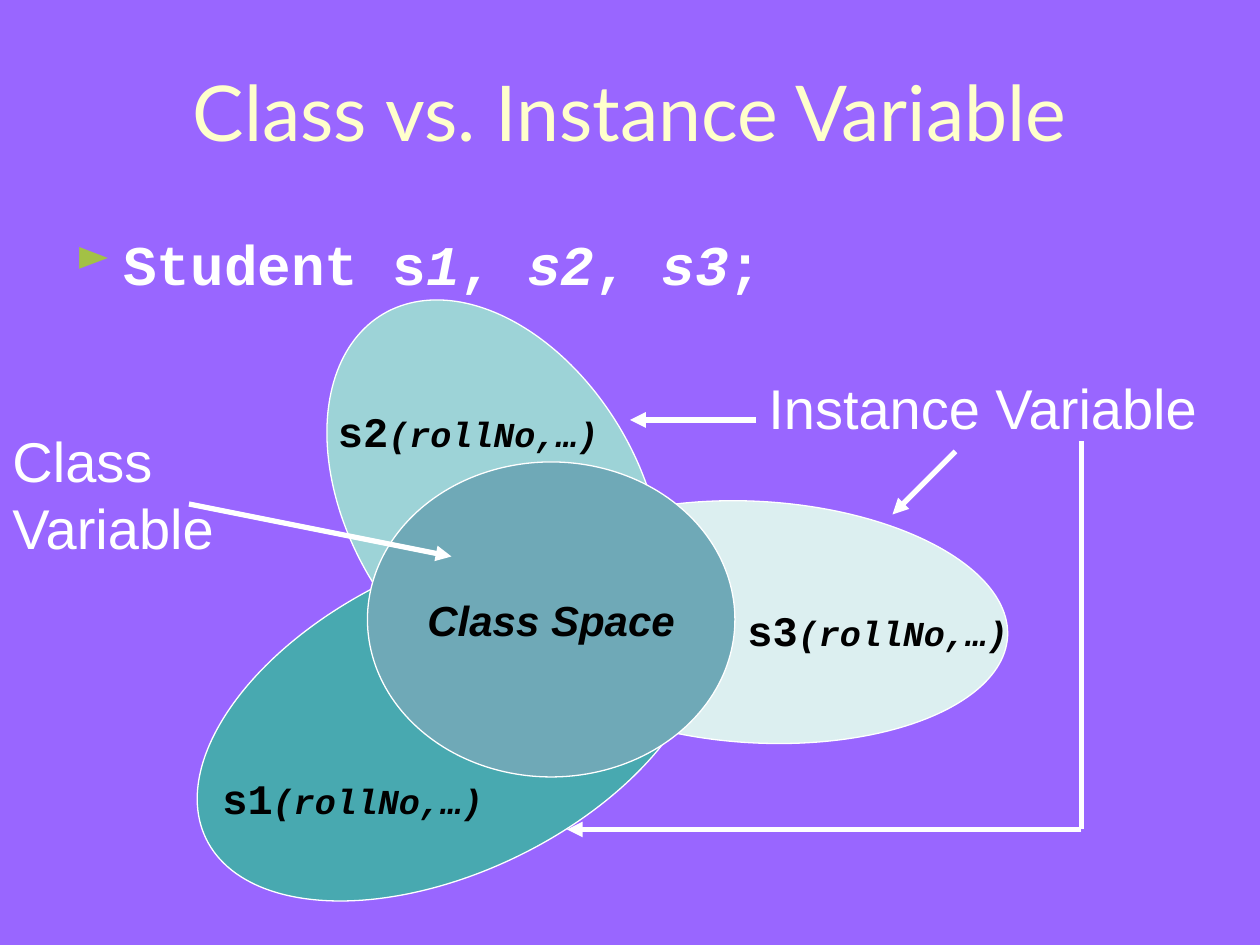
from lxml import etree
from pptx import Presentation
from pptx import util as u
from pptx.dml.color import RGBColor
from pptx.enum import shapes, text
from pptx.oxml.ns import qn

WIDE, HIGH = 10, 7.5
COL, ROW = WIDE / 120, HIGH / 90  # fine grid, 1/12 inch

PURPLE = RGBColor(0x99, 0x66, 0xFF)
CREAM = RGBColor(0xFF, 0xFF, 0xCC)
WHITE = RGBColor(0xFF, 0xFF, 0xFF)
BLACK = RGBColor(0x00, 0x00, 0x00)
PALE = RGBColor(0xDC, 0xEF, 0xF0)
TEAL = RGBColor(0x48, 0xA9, 0xB0)
AQUA = RGBColor(0x9D, 0xD3, 0xD7)
SLATE = RGBColor(0x6F, 0xA9, 0xB7)
LIME = "A3C145"


def grid(*cells):
    """Turn column, row pairs into lengths."""
    return [u.Inches(n * (ROW if i % 2 else COL)) for i, n in enumerate(cells)]


def style(para, face, size, color, bold=None, slant=None):
    font = para.font
    font.name, font.size, font.bold, font.italic = face, u.Pt(size), bold, slant
    font.color.rgb = color


def add_text(slide, box, wrap=True):
    frame = slide.shapes.add_textbox(*grid(*box)).text_frame
    frame.word_wrap = wrap
    return frame


def add_runs(para, parts):
    """Add (words, italic, size) runs; size None keeps the paragraph's."""
    for words, slant, size in parts:
        run = para.add_run()
        run.text = words
        run.font.italic = slant
        if size:
            run.font.size = u.Pt(size)


def add_title(slide, words):
    title = slide.shapes.title
    title.left, title.top, title.width, title.height = grid(4, 3, 112, 15)
    frame = title.text_frame
    frame.text = words
    frame.vertical_anchor = text.MSO_ANCHOR.MIDDLE
    para = frame.paragraphs[0]
    para.alignment = text.PP_ALIGN.CENTER
    style(para, "Lato", 44, CREAM)


def add_code(slide):
    para = add_text(slide, (6, 22.5, 108, 59.5)).paragraphs[0]
    para.line_spacing = 0.8
    props = para._p.get_or_add_pPr()
    props.set("marL", str(u.Inches(0.38)))
    props.set("indent", str(u.Inches(-0.38)))
    tint = etree.SubElement(props, qn("a:buClr"))
    etree.SubElement(tint, qn("a:srgbClr"), val=LIME)
    etree.SubElement(props, qn("a:buSzPct"), val="80000")
    etree.SubElement(props, qn("a:buChar"), char="►")
    style(para, "Courier New", 32, WHITE, True)
    add_runs(para, [("Student s", False, None), ("1", True, None),
                    (", ", False, None), ("s2", True, None),
                    (", ", False, None), ("s3", True, None),
                    (";", False, None)])


def add_oval(slide, box, fill, turn=0):
    oval = slide.shapes.add_shape(shapes.MSO_SHAPE.OVAL, *grid(*box))
    oval.rotation = turn
    oval.shadow.inherit = False
    oval.fill.solid()
    oval.fill.fore_color.rgb = fill
    oval.line.color.rgb = WHITE
    oval.line.width = u.Pt(0.75)
    return oval


def add_label(slide, name, box):
    para = add_text(slide, box).paragraphs[0]
    style(para, "Courier New", 24, BLACK, True)
    add_runs(para, [(name, False, None), ("(rollNo,…)", True, 20)])


def add_note(slide, words, box, wrap):
    frame = add_text(slide, box, wrap)
    frame.text = words
    style(frame.paragraphs[0], "Arial", 32, WHITE)


def add_line(slide, ends, arrow=True):
    line = slide.shapes.add_connector(shapes.MSO_CONNECTOR.STRAIGHT, *grid(*ends))
    line.line.color.rgb = WHITE
    line.line.width = u.Pt(3)
    if arrow:
        etree.SubElement(line.line._get_or_add_ln(), qn("a:tailEnd"), type="triangle")
    etree.SubElement(line._element.spPr, qn("a:effectLst"))


def main():
    deck = Presentation()
    deck.slide_width, deck.slide_height = u.Inches(WIDE), u.Inches(HIGH)
    slide = deck.slides.add_slide(deck.slide_layouts[5])
    back = slide.background.fill
    back.solid()
    back.fore_color.rgb = PURPLE

    add_title(slide, "Class vs. Instance Variable")
    add_code(slide)

    # Petals for the objects, then the shared centre
    add_oval(slide, (48, 47.75, 48, 23), PALE, 3.3)
    add_oval(slide, (17, 54, 52, 29), TEAL, 334)
    add_oval(slide, (26.25, 34, 41.75, 27.75), AQUA, 59.4)
    core = add_oval(slide, (35, 44, 35, 30), SLATE)
    frame = core.text_frame
    frame.text = "Class Space"
    frame.word_wrap = False
    frame.vertical_anchor = text.MSO_ANCHOR.MIDDLE
    para = frame.paragraphs[0]
    para.alignment = text.PP_ALIGN.CENTER
    style(para, "Arial", 24, BLACK, True, True)

    # Object labels
    for name, box in (("s1", (20, 73, 31, 6)), ("s2", (31, 38, 37, 6)),
                      ("s3", (70, 57, 37, 6))):
        add_label(slide, name, box)

    # Notes with their arrows
    add_line(slide, (103, 42, 103, 79), arrow=False)
    add_line(slide, (103, 79, 54, 79))
    add_note(slide, "Instance Variable", (72, 35, 43.75, 7.75), False)
    add_line(slide, (91, 43, 85, 49))
    add_line(slide, (72, 40, 60, 40))
    add_note(slide, "Class Variable", (0, 40, 28, 14), True)
    add_line(slide, (18, 48, 43, 53))

    deck.save("out.pptx")


if __name__ == "__main__":
    main()
